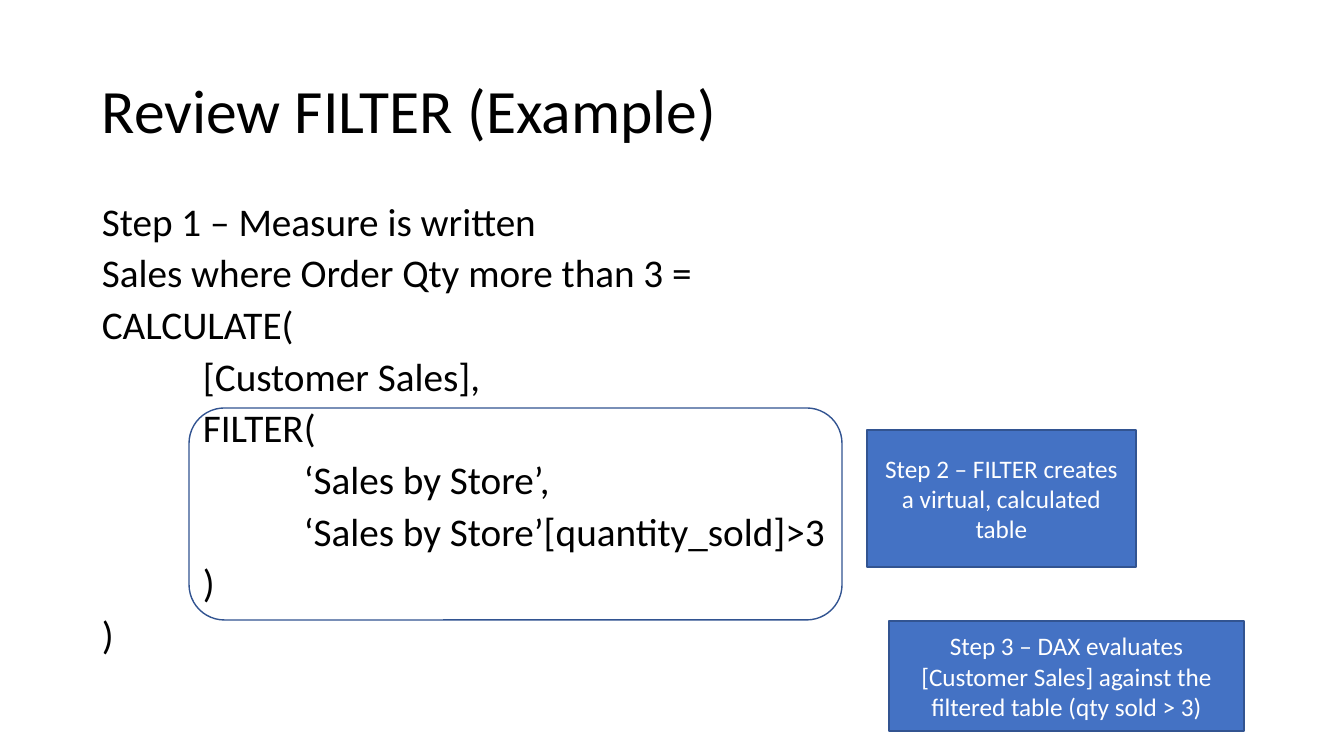
"""Build the slide that reviews the DAX FILTER function with an example."""
from lxml.etree import SubElement
from pptx import Presentation
from pptx.dml.color import RGBColor
from pptx.enum.shapes import MSO_SHAPE as Shape
from pptx.enum.text import MSO_ANCHOR as Anchor, PP_ALIGN as Align
from pptx.oxml.ns import qn
from pptx.oxml.xmlchemy import OxmlElement
from pptx.util import Emu, Pt

TITLE = "Review FILTER (Example)"
MEASURE = [
    (0, "Step 1 – Measure is written"),
    (0, "Sales where Order Qty more than 3 ="),
    (0, "CALCULATE("),
    (1, "[Customer Sales],"),
    (1, "FILTER("),
    (2, "‘Sales by Store’,"),
    (2, "‘Sales by Store’[quantity_sold]>3"),
    (1, ")"),
    (0, ")"),
]
NOTES = [
    ((867, 430, 269, 137), "Step 2 – FILTER creates a virtual, calculated table"),
    ((889, 621, 355, 110), "Step 3 – DAX evaluates [Customer Sales] against the "
                           "filtered table (qty sold > 3)"),
]
TITLE_BOX = (92, 41, 1160, 146)
MEASURE_BOX = (92, 201, 1160, 480)
FILTER_FRAME = (189, 408, 653, 212)
TAB_STOPS = (101, 202)

COLORS = {"text": "000000", "note": "4472C4", "outline": "325491", "note text": "FFFFFF"}
FONT = "Calibri"
PX = 914400 / 100.8


def px(*lengths):
    return [Emu(round(length * PX)) for length in lengths]


def color(name):
    return RGBColor.from_string(COLORS[name])


def write(shape, lines, size, text_color, anchor, align, spacing=1.0, before=0):
    frame = shape.text_frame
    frame.word_wrap = True
    frame.vertical_anchor = anchor
    for index, line in enumerate(lines):
        paragraph = frame.add_paragraph() if index else frame.paragraphs[0]
        paragraph.text = line
        paragraph.alignment = align
        paragraph.line_spacing = spacing
        paragraph.space_before = Pt(before)
        paragraph.font.name = FONT
        paragraph.font.size = Pt(size)
        paragraph.font.color.rgb = color(text_color)


def set_tab_stops(paragraph):
    tab_list = OxmlElement("a:tabLst")
    for position in px(*TAB_STOPS):
        SubElement(tab_list, qn("a:tab"), pos=str(int(position)), algn="l")
    properties = paragraph._p.get_or_add_pPr()
    properties.find(qn("a:defRPr")).addprevious(tab_list)


def add_outlined(slide, kind, box, fill=None):
    shape = slide.shapes.add_shape(kind, *px(*box))
    shape.shadow.inherit = False
    shape.line.color.rgb = color("outline")
    shape.line.width = Pt(1)
    if fill:
        shape.fill.solid()
        shape.fill.fore_color.rgb = color(fill)
    else:
        shape.fill.background()
    return shape


def main():
    presentation = Presentation()
    presentation.slide_width, presentation.slide_height = px(1344, 756)
    slide = presentation.slides.add_slide(presentation.slide_layouts[6])

    title = slide.shapes.add_textbox(*px(*TITLE_BOX))
    write(title, [TITLE], 44, "text", Anchor.MIDDLE, Align.LEFT, 0.9)

    measure = slide.shapes.add_textbox(*px(*MEASURE_BOX))
    lines = ["\t" * level + code for level, code in MEASURE]
    write(measure, lines, 28, "text", Anchor.TOP, Align.LEFT, 0.8, 10)
    for paragraph in measure.text_frame.paragraphs:
        set_tab_stops(paragraph)

    add_outlined(slide, Shape.ROUNDED_RECTANGLE, FILTER_FRAME)
    for box, note in NOTES:
        shape = add_outlined(slide, Shape.RECTANGLE, box, "note")
        write(shape, [note], 18, "note text", Anchor.MIDDLE, Align.CENTER)

    presentation.save("out.pptx")


if __name__ == "__main__":
    main()
